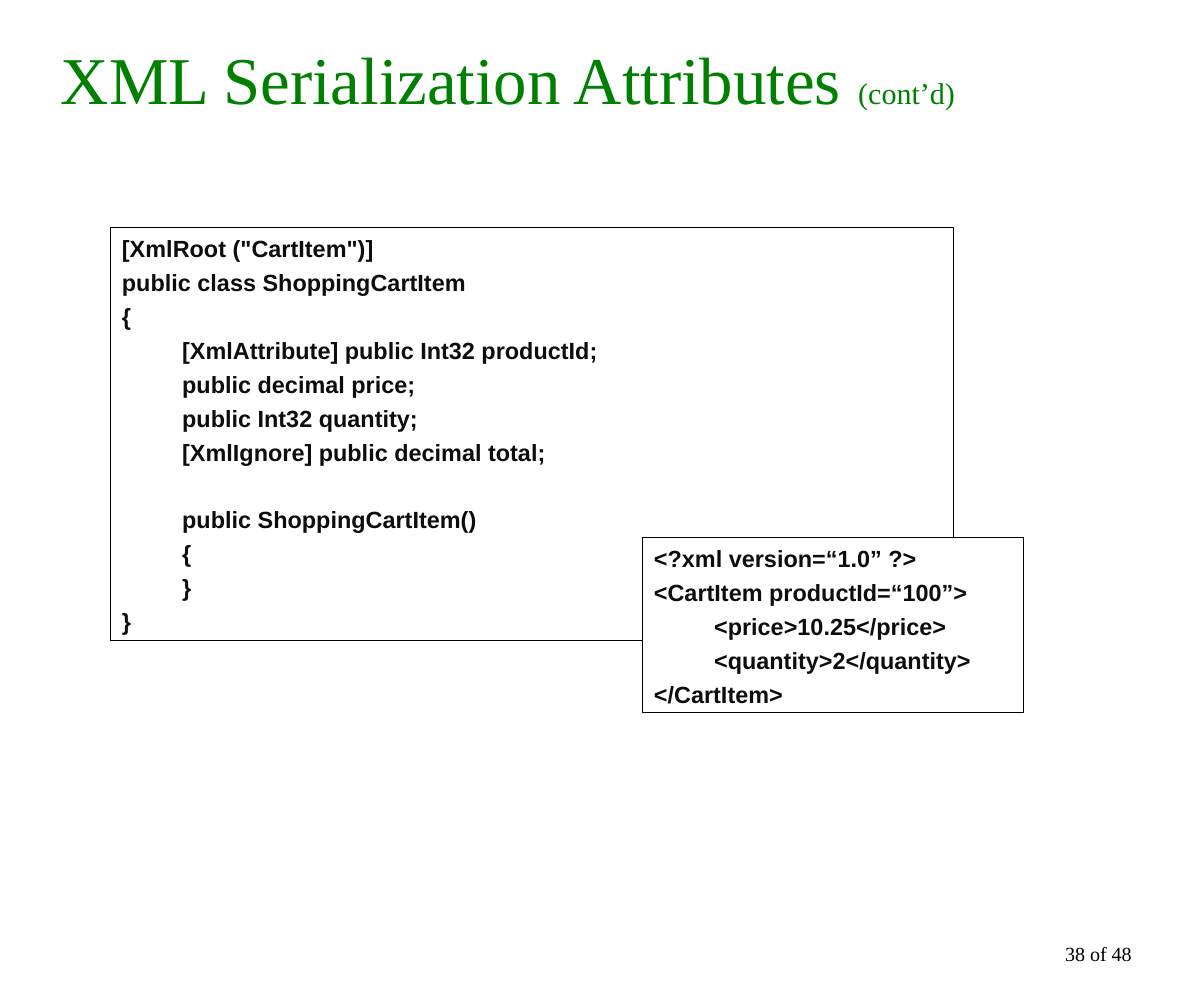
"""Build the slide on XML serialization attributes with two code panels."""
from dataclasses import dataclass

from pptx import Presentation
from pptx.dml.color import RGBColor
from pptx.enum.shapes import MSO_SHAPE
from pptx.enum.text import MSO_ANCHOR, MSO_AUTO_SIZE, PP_ALIGN
from pptx.util import Cm, Inches, Pt

RECT = MSO_SHAPE.RECTANGLE
TOP, BOTTOM = MSO_ANCHOR.TOP, MSO_ANCHOR.BOTTOM
LEFT, RIGHT = PP_ALIGN.LEFT, PP_ALIGN.RIGHT
FIXED = MSO_AUTO_SIZE.NONE
WIDE, HIGH = Inches(10), Cm(21)
SERIF, SANS = "Times New Roman", "Arial"
HEX = {"title": "008000", "code": "0D0D0D", "line": "000000", "fill": "FFFFFF"}
STEP, GAP, BLANK = 0.5, 3.5, 20.3

CLASS = """\
[XmlRoot ("CartItem")]
public class ShoppingCartItem
{
    [XmlAttribute] public Int32 productId;
    public decimal price;
    public Int32 quantity;
    [XmlIgnore] public decimal total;

    public ShoppingCartItem()
    {
    }
}"""

XML = """\
<?xml version=“1.0” ?>
<CartItem productId=“100”>
    <price>10.25</price>
    <quantity>2</quantity>
</CartItem>"""


@dataclass
class Area:
    """Hold a box as percent shares of the slide's width and height."""
    left: float
    top: float
    width: float
    height: float

    def spans(self) -> tuple:
        return (round(self.left * WIDE / 100), round(self.top * HIGH / 100),
                round(self.width * WIDE / 100), round(self.height * HIGH / 100))


@dataclass
class Panel:
    """Pair a block of code with its area."""
    code: str
    area: Area


PANELS = [
    Panel(CLASS, Area(9.15, 22.8, 70, 41.5)),
    Panel(XML, Area(53.33, 54, 31.7, 17.6)),
]
HEAD = Area(4.05, 3.26, 84.4, 7.74)
FOOT = Area(71.7, 91, 23.3, 6.65)


def color(name: str) -> RGBColor:
    """Look up a named colour."""
    return RGBColor.from_string(HEX[name])


def frame(shape, anchor=TOP, top: float = 0.05):
    """Set the insets of a shape's text and return its frame."""
    text = shape.text_frame
    text.auto_size = FIXED
    text.word_wrap = True
    text.vertical_anchor = anchor
    text.margin_left = text.margin_right = Inches(0.1)
    text.margin_top, text.margin_bottom = Inches(top), Inches(0.05)
    return text


def write(para, text: str, *, size: float, font: str, tint: str,
          bold: bool = False, align=LEFT, before: float = 0) -> None:
    """Add a formatted run to a paragraph."""
    para.alignment = align
    para.space_before = Pt(before)
    run = para.add_run()
    run.text = text
    run.font.size, run.font.name, run.font.bold = Pt(size), font, bold
    run.font.color.rgb = color(tint)


def draw(slide, panel: Panel) -> None:
    """Draw a framed panel of indented code."""
    box = slide.shapes.add_shape(RECT, *panel.area.spans())
    box.shadow.inherit = False
    box.fill.solid()
    box.fill.fore_color.rgb = color("fill")
    box.line.color.rgb = color("line")
    box.line.width = Pt(0.25)
    text = frame(box, top=0.06)
    para, space = text.paragraphs[0], 0
    for row in panel.code.splitlines():
        if not row:
            space += BLANK
            continue
        if para is None:
            para = text.add_paragraph()
        body = row.lstrip()
        depth = (len(row) - len(body)) // 4
        props = para._p.get_or_add_pPr()
        props.set("marL", str(Inches(depth * STEP)))
        props.set("indent", "0")
        write(para, body, size=14, font=SANS, tint="code", bold=True,
              before=space)
        para, space = None, GAP


def main() -> None:
    """Compose and save the slide."""
    deck = Presentation()
    deck.slide_width, deck.slide_height = WIDE, HIGH
    slide = deck.slides.add_slide(deck.slide_layouts[5])

    title = slide.shapes.title
    title.left, title.top, title.width, title.height = HEAD.spans()
    para = frame(title, top=0.04).paragraphs[0]
    for text, size in (("XML Serialization Attributes ", 40), ("(cont’d)", 18)):
        write(para, text, size=size, font=SERIF, tint="title")

    for panel in PANELS:
        draw(slide, panel)

    page = slide.shapes.add_textbox(*FOOT.spans())
    para = frame(page, BOTTOM).paragraphs[0]
    write(para, "38 of 48", size=12, font=SERIF, tint="line", align=RIGHT)

    deck.save("out.pptx")


if __name__ == "__main__":
    main()
